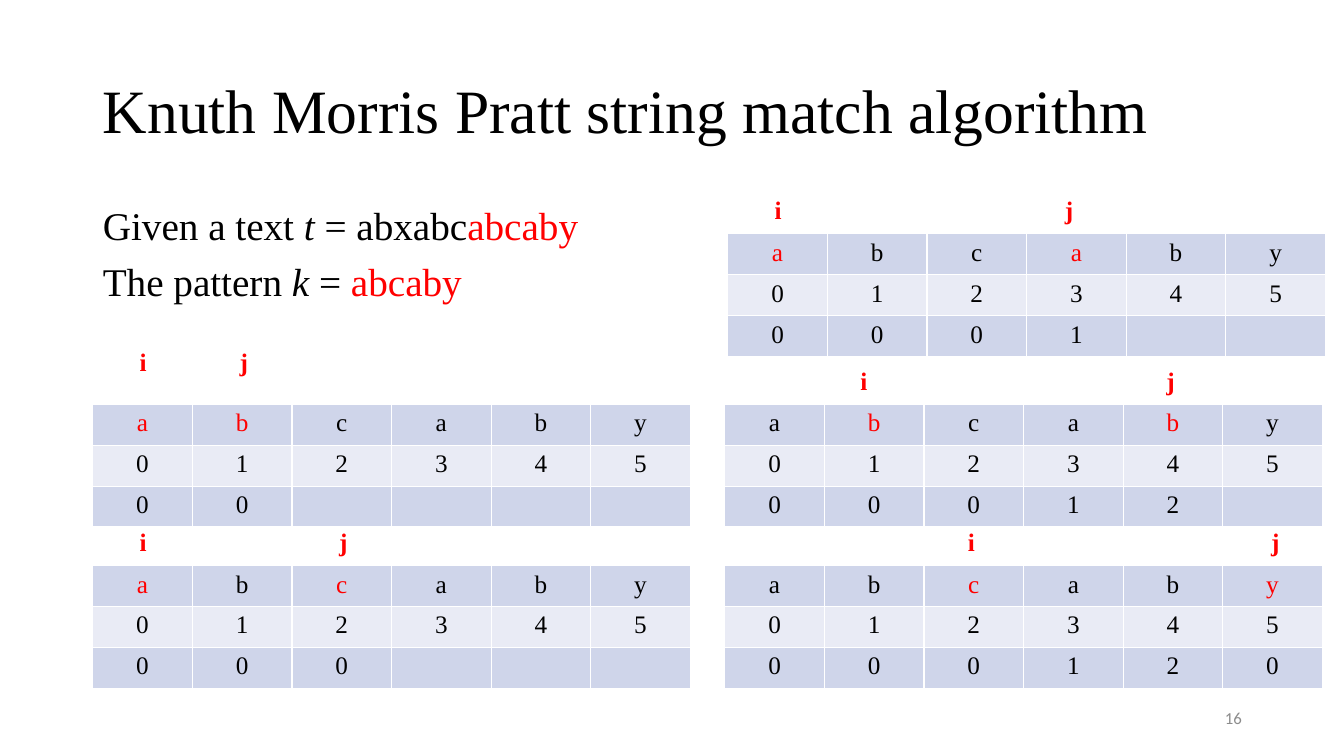
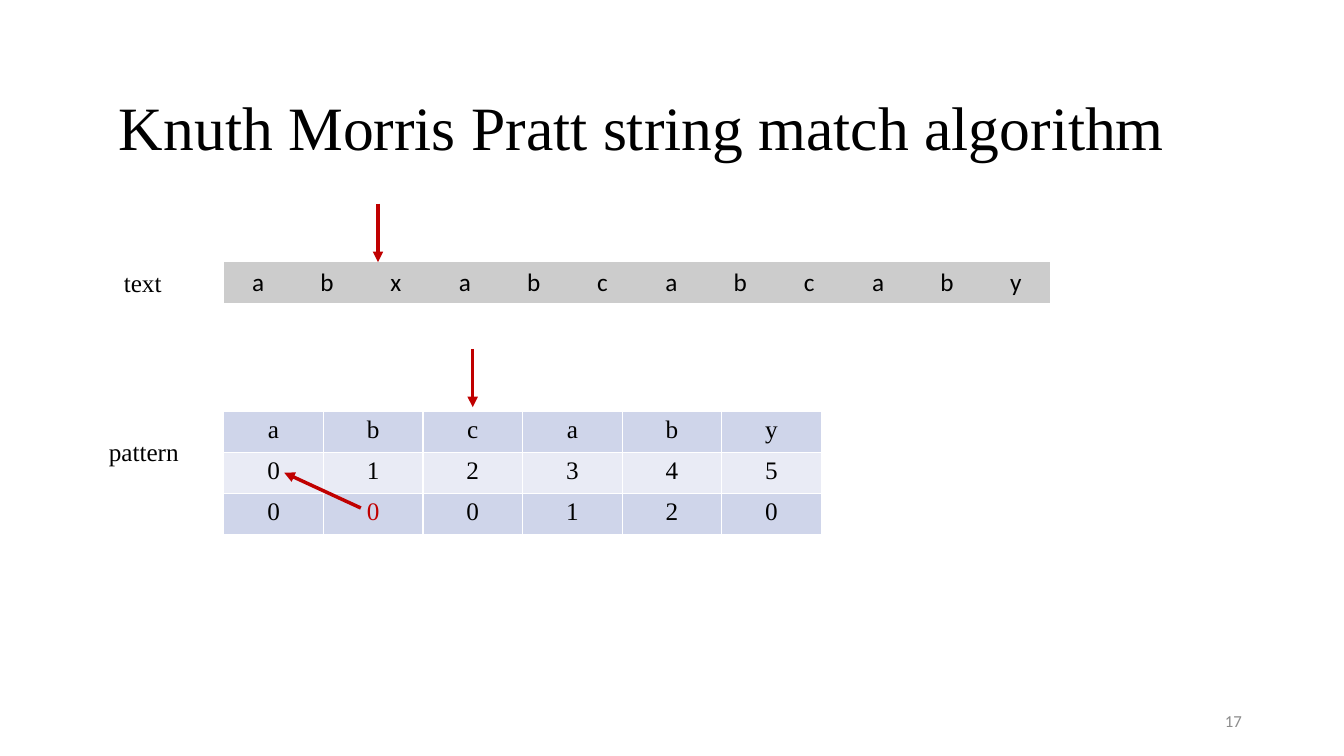
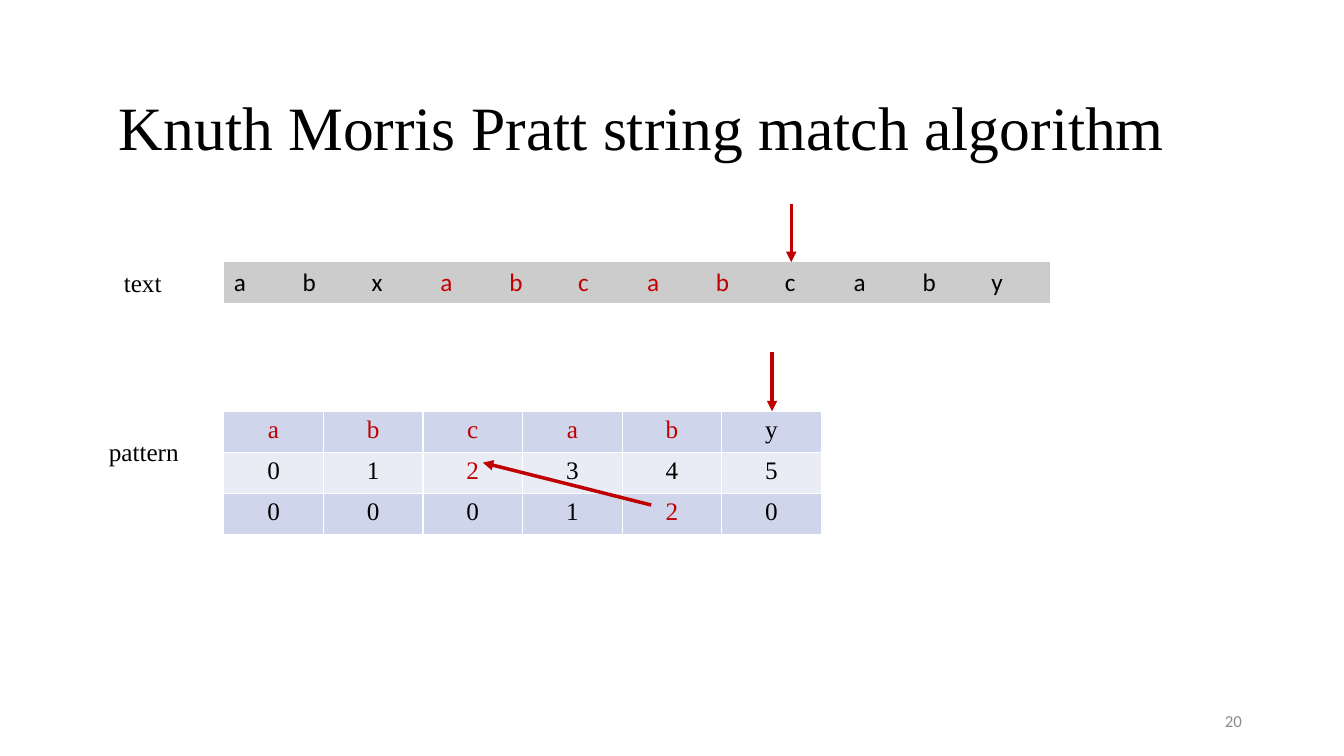
from lxml import etree
from pptx import Presentation
from pptx.dml.color import RGBColor
from pptx.enum.shapes import MSO_CONNECTOR
from pptx.enum.text import MSO_ANCHOR, MSO_AUTO_SIZE, PP_ALIGN
from pptx.oxml.ns import qn
from pptx.util import Inches, Pt

LEFT, CENTER, RIGHT = PP_ALIGN.LEFT, PP_ALIGN.CENTER, PP_ALIGN.RIGHT
TOP, MIDDLE = MSO_ANCHOR.TOP, MSO_ANCHOR.MIDDLE
FIXED, GROW = MSO_AUTO_SIZE.NONE, MSO_AUTO_SIZE.SHAPE_TO_FIT_TEXT
STRAIGHT = MSO_CONNECTOR.STRAIGHT
TITLE_AND_BODY, TITLE_ONLY = 1, 5
PLAIN_TABLE = "{2D5ABB26-0587-4C30-8999-92F81FD0307C}"

SERIF, SANS = "Times New Roman", "Calibri"
BLACK, WHITE, MUTED = "000000", "FFFFFF", "8C8C8C"
RED, DARK_RED = "FF0000", "C00000"
BAND, LIGHT_BAND, STRIP = "CFD5EA", "E9EBF5", "CCCCCC"

COLUMNS, ROWS = 80, 45
CELL_W, TEXT_CELL_W, CELL_H = 5.93, 4.1, 2.44
HEADING = "Knuth Morris Pratt string match algorithm"
TEXT, PATTERN, INDEXES = "abxabcabcaby", "abcaby", "012345"
PREFIXES = "000120"


def color(value):
    return RGBColor.from_string(value)


class Deck:
    def __init__(self):
        self.prs = Presentation()
        self.prs.slide_width = Inches(13.33)
        self.prs.slide_height = Inches(7.5)
        self.slide = None

    def x(self, columns):
        return round(self.prs.slide_width * columns / COLUMNS)

    def y(self, rows):
        return round(self.prs.slide_height * rows / ROWS)

    def area(self, x, y, w, h):
        return self.x(x), self.y(y), self.x(w), self.y(h)

    def run(self, p, text, tint=BLACK, **values):
        r = p.add_run()
        r.text = text
        style = {"name": SERIF, "size": Pt(18), "bold": False} | values
        for name, value in style.items():
            setattr(r.font, name, value)
        r.font.color.rgb = color(tint)

    def frame(self, sp, anchor=TOP, fit=FIXED):
        tf = sp.text_frame
        values = {"word_wrap": True, "auto_size": fit, "vertical_anchor": anchor}
        for name, value in values.items():
            setattr(tf, name, value)
        return tf

    def place(self, sp, x, y, w, h):
        sp.left, sp.top, sp.width, sp.height = self.area(x, y, w, h)

    def add_slide(self, layout, number, title_at, number_y):
        self.slide = self.prs.slides.add_slide(self.prs.slide_layouts[layout])
        sp = self.slide.shapes.title
        self.place(sp, *title_at, 69, 8.7)
        p = self.frame(sp, MIDDLE).paragraphs[0]
        p.alignment = LEFT
        p.line_spacing = 0.9
        self.run(p, HEADING, size=Pt(44))
        self.text(str(number), 56.52, number_y, 18, 2.4, MUTED, align=RIGHT,
                  anchor=MIDDLE, fit=FIXED, name=SANS, size=Pt(12))

    def body(self, paragraphs, *area):
        sp = self.slide.placeholders[1]
        self.place(sp, *area)
        tf = self.frame(sp)
        for i, runs in enumerate(paragraphs):
            p = tf.add_paragraph() if i else tf.paragraphs[0]
            p.line_spacing = 0.9
            p.space_before = Pt(10 if i else 0)
            ppr = p._p.get_or_add_pPr()
            ppr.set("marL", "0")
            ppr.set("indent", "0")
            etree.SubElement(ppr, qn("a:buNone"))
            for text, tint, italic in runs:
                self.run(p, text, tint, size=Pt(28), italic=italic)

    def text(self, text, x, y, w, h, tint=BLACK, align=CENTER, anchor=TOP,
             fit=GROW, **values):
        sp = self.slide.shapes.add_textbox(*self.area(x, y, w, h))
        p = self.frame(sp, anchor, fit).paragraphs[0]
        p.alignment = align
        self.run(p, text, tint, **values)

    def border(self, cell):
        tcpr = cell._tc.get_or_add_tcPr()
        for side in ("lnL", "lnR", "lnT", "lnB"):
            ln = etree.SubElement(tcpr, qn(f"a:{side}"), w=str(Pt(1)))
            fill = etree.SubElement(ln, qn("a:solidFill"))
            etree.SubElement(fill, qn("a:srgbClr"), val=WHITE)

    def table(self, rows, x, y, cell_w, fills, marks=(), tint=DARK_RED,
              font=SERIF, align=CENTER, bordered=True):
        count = len(rows[0])
        area = self.area(x, y, cell_w * count, CELL_H * len(rows))
        table = self.slide.shapes.add_table(len(rows), count, *area).table
        table._tbl.tblPr[0].text = PLAIN_TABLE
        table.first_row = table.horz_banding = False
        for column in table.columns:
            column.width = self.x(cell_w)
        for i, values in enumerate(rows):
            table.rows[i].height = self.y(CELL_H)
            for j in range(count):
                cell = table.cell(i, j)
                if bordered:
                    self.border(cell)
                cell.fill.solid()
                cell.fill.fore_color.rgb = color(fills[i])
                p = cell.text_frame.paragraphs[0]
                p.alignment = align
                if j < len(values):
                    self.run(p, values[j], tint if (i, j) in marks else BLACK,
                             name=font)

    def pattern(self, x, y, known=len(PREFIXES), **values):
        rows = (PATTERN, INDEXES, PREFIXES[:known])
        self.table(rows, x, y, CELL_W, (BAND, LIGHT_BAND, BAND), **values)

    def arrow(self, x1, y1, x2, y2):
        line = self.slide.shapes.add_connector(
            STRAIGHT, self.x(x1), self.y(y1), self.x(x2), self.y(y2))
        line.line.color.rgb = color(DARK_RED)
        line.line.width = Pt(2.5)
        sppr = line._element.spPr
        etree.SubElement(sppr.find(qn("a:ln")), qn("a:tailEnd"), type="triangle")
        etree.SubElement(sppr, qn("a:effectLst"))

    def prefix_step(self, x, y, label_y, i, j, i_at, j_at):
        self.pattern(x, y, j + 1, marks={(0, i), (0, j)}, tint=RED)
        for name, at in (("i", i_at), ("j", j_at)):
            self.text(name, x + at * CELL_W, label_y, 6, 2.4, RED, bold=True)

    def match_step(self, number, align, text_marks, pattern_marks, arrows):
        self.add_slide(TITLE_ONLY, number, (6.48, 3.42), 41.7)
        self.table((TEXT,), 13.32, 15.6, TEXT_CELL_W, (STRIP,), text_marks,
                   font=SANS, align=align, bordered=False)
        self.pattern(13.32, 24.48, marks=pattern_marks)
        self.text("text", 5.7, 15.6, 5.6, 2.44)
        self.text("pattern", 5.76, 25.7, 5.6, 2.44)
        for ends in arrows:
            self.arrow(*ends)


def main():
    deck = Deck()
    deck.add_slide(TITLE_AND_BODY, 16, (5.52, 2.4), 41.52)
    deck.body([
        [("Given a text ", BLACK, False), ("t", BLACK, True),
         (" = abxabc", BLACK, False), (PATTERN, RED, False)],
        [("The pattern ", BLACK, False), ("k", BLACK, True),
         (" = ", BLACK, False), (PATTERN, RED, False)],
    ], 5.52, 12, 69, 28.56)
    for step in (
        (5.52, 24.06, 20.34, 0, 1, 0, 1.01),
        (5.52, 33.66, 31.02, 0, 2, 0, 2.01),
        (43.32, 13.92, 11.28, 0, 3, 0, 2.92),
        (43.14, 24.06, 21.48, 1, 4, 0.89, 3.97),
        (43.14, 33.66, 31.02, 2, 5, 1.97, 5.02),
    ):
        deck.prefix_step(*step)

    deck.match_step(17, CENTER, (), {(2, 1)}, (
        (22.5, 12.12, 22.5, 15.6),
        (28.14, 20.76, 28.14, 24.24),
        (21.48, 30.24, 16.92, 28.14),
    ))
    deck.match_step(
        20, LEFT, {(0, j) for j in range(3, 8)},
        {(0, j) for j in range(5)} | {(1, 2), (2, 4)}, (
            (47.1, 12.12, 47.1, 15.6),
            (45.96, 20.94, 45.96, 24.48),
            (38.76, 30.06, 28.74, 27.54),
        ))
    deck.prs.save("out.pptx")


if __name__ == "__main__":
    main()
